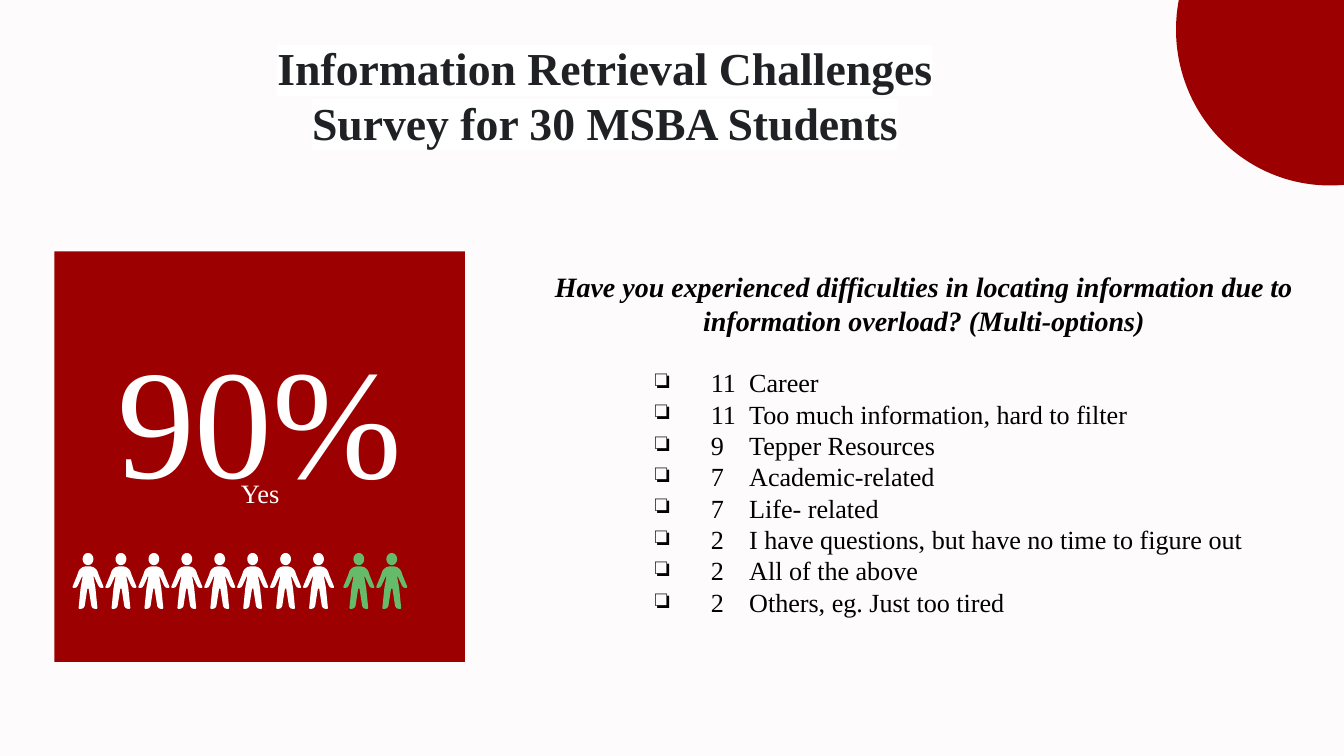
from math import cos, pi, sin

from lxml.etree import SubElement
from pptx import Presentation
from pptx.dml.color import RGBColor
from pptx.enum.shapes import MSO_SHAPE as Shape
from pptx.enum.text import MSO_ANCHOR as Anchor, MSO_AUTO_SIZE as AutoSize, PP_ALIGN as Align
from pptx.oxml.ns import qn
from pptx.util import Inches, Pt

# Grid: 20 columns by 11.25 rows of one inch
UNIT = Inches(1)
COLUMNS, ROWS = 20, 11.25

FONT = "Times New Roman"
PAPER = RGBColor(0xFD, 0xFB, 0xFB)
CRIMSON = RGBColor(0x9D, 0x00, 0x00)
GREEN = RGBColor(0x66, 0xBB, 0x6A)
WHITE = RGBColor(0xFF, 0xFF, 0xFF)
BLACK = RGBColor(0x00, 0x00, 0x00)
INK = RGBColor(0x20, 0x21, 0x24)

QUESTION = ("Have you experienced difficulties in locating information due to "
            "information overload? (Multi-options)")
ANSWERS = [
    (11, "Career"),
    (11, "Too much information, hard to filter"),
    (9, "Tepper Resources"),
    (7, "Academic-related"),
    (7, "Life- related"),
    (2, "I have questions, but have no time to figure out"),
    (2, "All of the above"),
    (2, "Others, eg. Just too tired"),
]

# Right half of a person's body, from neck to crotch, around its middle line
HALF_BODY = [
    (0.04, 0.2), (0.08, 0.21), (0.12, 0.24), (0.14, 0.27), (0.16, 0.33),
    (0.23, 0.5), (0.23, 0.51), (0.22, 0.52), (0.2, 0.52), (0.17, 0.51),
    (0.15, 0.48), (0.09, 0.35), (0.08, 0.35), (0.11, 0.52), (0.14, 0.82),
    (0.13, 0.83), (0.1, 0.83), (0.07, 0.82), (0.05, 0.79), (0.01, 0.53),
]
BODY = HALF_BODY + [(-x, y) for x, y in reversed(HALF_BODY)]
HEAD = [(0.08 * cos(pi * step / 12), 0.09 + 0.09 * sin(pi * step / 12)) for step in range(24)]
PERSON_PITCH = 0.49


def grid(*cells):
    return [round(cell * UNIT) for cell in cells]


def paint(shape, color):
    shape.fill.solid()
    shape.fill.fore_color.rgb = color
    shape.line.fill.background()
    shape.shadow.inherit = False


def add_block(slide, preset, cells, color):
    paint(slide.shapes.add_shape(preset, *grid(*cells)), color)


def add_frame(slide, cells, inset=0, anchor=Anchor.TOP, grow=False):
    frame = slide.shapes.add_textbox(*grid(*cells)).text_frame
    frame.word_wrap = True
    frame.vertical_anchor = anchor
    frame.auto_size = AutoSize.SHAPE_TO_FIT_TEXT if grow else AutoSize.NONE
    frame.margin_left = frame.margin_top = frame.margin_right = frame.margin_bottom = Inches(inset)
    return frame


def write(paragraph, text, size, color, bold=False, italic=False, align=Align.CENTER,
          spacing=None, after=None, highlight=None):
    paragraph.alignment = align
    if spacing:
        paragraph.line_spacing = spacing
    if after:
        paragraph.space_after = Pt(after)
    run = paragraph.add_run()
    run.text = text
    font = run.font
    font.size, font.bold, font.italic = Pt(size), bold, italic
    font.color.rgb = color
    if highlight:
        mark = SubElement(run._r.get_or_add_rPr(), qn("a:highlight"))
        SubElement(mark, qn("a:srgbClr"), val=str(highlight))
    font.name = FONT


def add_bullet(paragraph, symbol, left, hanging, tab):
    properties = paragraph._p.get_or_add_pPr()
    properties.set("marL", str(Inches(left)))
    properties.set("indent", str(-Inches(hanging)))
    color = SubElement(properties, qn("a:buClr"))
    SubElement(color, qn("a:srgbClr"), val=str(BLACK))
    SubElement(properties, qn("a:buChar"), char=symbol)
    tabs = SubElement(properties, qn("a:tabLst"))
    SubElement(tabs, qn("a:tab"), pos=str(Inches(tab)), algn="l")


def add_people(group, center, top, count, color):
    outlines = [
        [grid(center + PERSON_PITCH * index + x, top + y) for x, y in part]
        for index in range(count) for part in (HEAD, BODY)
    ]
    builder = group.shapes.build_freeform(*outlines[0][0])
    for number, outline in enumerate(outlines):
        if number:
            builder.move_to(*outline[0])
        builder.add_line_segments(outline[1:], close=True)
    paint(builder.convert_to_shape(), color)


def main():
    presentation = Presentation()
    presentation.slide_width, presentation.slide_height = grid(COLUMNS, ROWS)
    slide = presentation.slides.add_slide(presentation.slide_layouts[6])
    slide.background.fill.solid()
    slide.background.fill.fore_color.rgb = PAPER

    # Result card
    add_block(slide, Shape.RECTANGLE, (0.81, 3.74, 6.11, 6.11), CRIMSON)
    share = add_frame(slide, (0.81, 3.75, 6.11, 2.81), grow=True)
    write(share.paragraphs[0], "90%", 166.7, WHITE, spacing=1.38)

    # Title
    title = add_frame(slide, (3.09, 0.3, 11.82, 2.28), anchor=Anchor.MIDDLE)
    write(title.paragraphs[0], "Information Retrieval Challenges Survey for 30 MSBA Students",
          49, INK, bold=True, spacing=0.99, highlight=WHITE)

    # Row of people
    people = slide.shapes.add_group_shape()
    add_people(people, 1.31, 8.23, 8, WHITE)
    add_people(people, 5.34, 8.23, 2, GREEN)

    answer = add_frame(slide, (0.88, 6.92, 5.98, 0.48), grow=True)
    write(answer.paragraphs[0], "Yes", 28.4, WHITE, spacing=1.38)

    # Corner circle
    add_block(slide, Shape.OVAL, (17.5, -1.88, 4.58, 4.64), CRIMSON)

    # Question and answers
    survey = add_frame(slide, (7.84, 2.58, 11.82, 8.04), inset=0.1, anchor=Anchor.MIDDLE)
    write(survey.paragraphs[0], QUESTION, 30, BLACK, bold=True, italic=True, after=32)
    for count, reason in ANSWERS:
        paragraph = survey.add_paragraph()
        add_bullet(paragraph, "❏", left=2.64, hanging=0.83, tab=3.21)
        write(paragraph, f"{count}\t{reason}", 28, BLACK, align=Align.LEFT)

    presentation.save("out.pptx")


if __name__ == "__main__":
    main()
